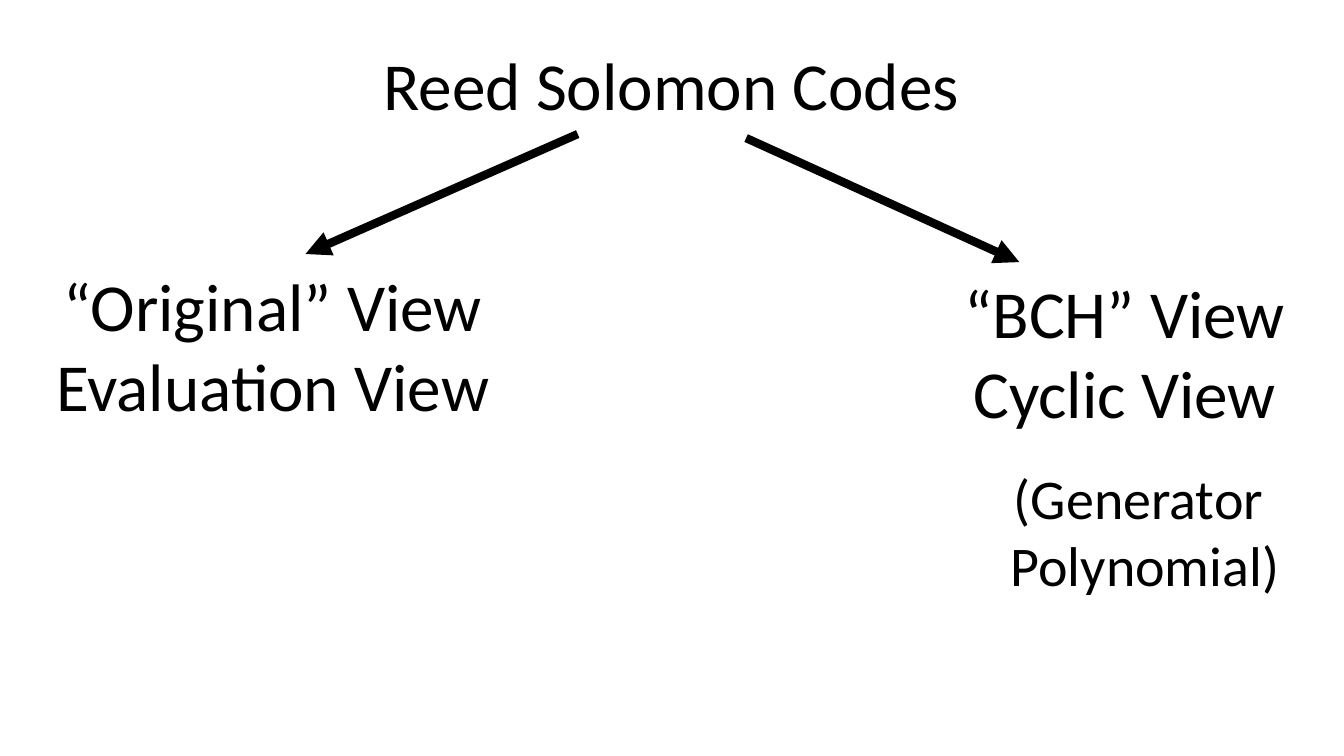
from pptx import Presentation, util as u
from pptx.dml.color import RGBColor
from pptx.enum import shapes, text
from pptx.oxml.ns import qn
from lxml import etree

PX = 9144  # 100 px to the inch
HUES = {"ink": "000000", "page": "FFFFFF"}
INK = RGBColor.from_string(HUES["ink"])


def px(*nums):
    return [u.Emu(n * PX) for n in nums]


def fill_text(shape, lines, size):
    frame = shape.text_frame
    form = {"word_wrap": False, "auto_size": text.MSO_AUTO_SIZE.SHAPE_TO_FIT_TEXT,
            "vertical_anchor": text.MSO_ANCHOR.TOP}
    for key, val in form.items():
        setattr(frame, key, val)
    frame.text = "\n".join(lines)
    for para in frame.paragraphs:
        para.alignment = text.PP_ALIGN.CENTER
        for key, val in {"name": "Calibri", "size": u.Pt(size)}.items():
            setattr(para.font, key, val)
        para.font.color.rgb = INK


def add_title(slide, box, words):
    title = slide.shapes.title
    for key, val in zip(("left", "top", "width", "height"), px(*box)):
        setattr(title, key, val)
    fill_text(title, [words], 48)


def add_label(slide, box, lines, size=48):
    fill_text(slide.shapes.add_textbox(*px(*box)), lines, size)


def add_arrow(slide, start, end):
    arrow = slide.shapes.add_connector(shapes.MSO_CONNECTOR.STRAIGHT, *px(*start, *end))
    arrow.line.width = u.Pt(6)
    arrow.line.color.rgb = INK
    etree.SubElement(arrow.line._get_or_add_ln(), qn("a:tailEnd"), type="triangle")
    etree.SubElement(arrow._element.spPr, qn("a:effectLst"))


def add_view(slide, box, lines, start, end):
    add_label(slide, box, lines)
    add_arrow(slide, start, end)


def main():
    deck = Presentation()
    deck.slide_width, deck.slide_height = px(1333, 750)
    slide = deck.slides.add_slide(deck.slide_layouts[5])
    back = slide.background.fill
    back.solid()
    back.fore_color.rgb = RGBColor.from_string(HUES["page"])

    # Root of the tree
    add_title(slide, (367, 38, 598, 91), "Reed Solomon Codes")

    # Two branches
    add_view(slide, (43, 257, 455, 172), ["“Original” View", "Evaluation View"],
             (573, 133), (303, 252))
    add_view(slide, (945, 264, 341, 172), ["“BCH” View", "Cyclic View"],
             (740, 137), (1011, 260))

    # Note under the right branch
    add_label(slide, (991, 455, 289, 145), ["(Generator ", "Polynomial)"], 40)

    deck.save("out.pptx")


if __name__ == "__main__":
    main()
